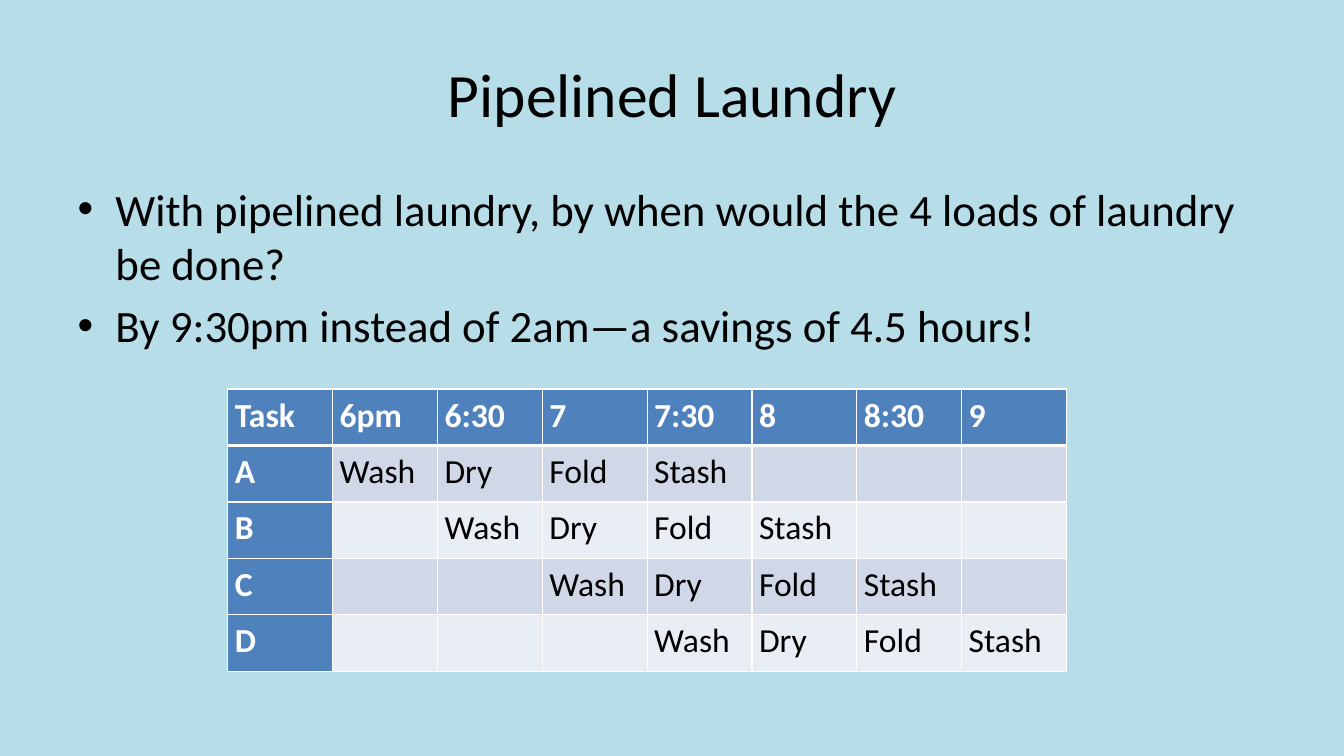
import pptx
import pptx.dml.color
import pptx.enum.text
import pptx.oxml
import pptx.oxml.ns
import pptx.util
from pptx.util import Inches

FONT = "Calibri"
BLACK = "000000"
WHITE = "FFFFFF"
HEADING_BLUE = "4F81BD"
BAND_COLORS = ["D0D8E8", "E9EDF4"]
START_TIMES = ["6pm", "6:30", "7", "7:30", "8", "8:30", "9"]
TASKS = ["A", "B", "C", "D"]
STAGES = ["Wash", "Dry", "Fold", "Stash"]


def color(hex_string):
    return pptx.dml.color.RGBColor.from_string(hex_string)


def format_runs(paragraph, size, hex_string, bold=False):
    for run in paragraph.runs:
        run.font.name = FONT
        run.font.size = pptx.util.Pt(size)
        run.font.bold = bold
        run.font.color.rgb = color(hex_string)


def fill_placeholder(placeholder, box, text, size):
    placeholder.left, placeholder.top, placeholder.width, placeholder.height = map(Inches, box)
    frame = placeholder.text_frame
    frame.text = text
    frame.word_wrap = True
    frame.auto_size = pptx.enum.text.MSO_AUTO_SIZE.NONE
    for paragraph in frame.paragraphs:
        format_runs(paragraph, size, BLACK)


def set_borders(cell, widths):
    properties = cell._tc.get_or_add_tcPr()
    for position, (side, width) in enumerate(widths.items()):
        border = pptx.oxml.parse_xml(
            f'<a:ln{side} {pptx.oxml.ns.nsdecls("a")} w="{pptx.util.Pt(width)}">'
            f'<a:solidFill><a:srgbClr val="{WHITE}"/></a:solidFill></a:ln{side}>'
        )
        properties.insert(position, border)


def format_cell(cell, text, row, column):
    heading = row == 0 or column == 0
    cell.margin_left = cell.margin_right = Inches(0.07)
    cell.margin_top = cell.margin_bottom = 0
    cell.fill.solid()
    cell.fill.fore_color.rgb = color(HEADING_BLUE if heading else BAND_COLORS[(row - 1) % 2])
    set_borders(cell, {"L": 1, "R": 1, "T": 3 if row == 1 else 1, "B": 3 if row == 0 else 1})
    if text:
        cell.text_frame.text = text
        paragraph = cell.text_frame.paragraphs[0]
        paragraph.line_spacing = 1.15
        format_runs(paragraph, 24, WHITE if heading else BLACK, heading)


def pipeline_rows():
    rows = [["Task"] + START_TIMES]
    for delay, task in enumerate(TASKS):
        idle_after = len(START_TIMES) - delay - len(STAGES)
        rows.append([task] + [""] * delay + STAGES + [""] * idle_after)
    return rows


def add_schedule(slide, left, top, column_width, row_height):
    rows = pipeline_rows()
    row_count, column_count = len(rows), len(rows[0])
    schedule = slide.shapes.add_table(
        row_count, column_count, Inches(left), Inches(top),
        Inches(column_width * column_count), Inches(row_height * row_count),
    ).table
    for row, texts in enumerate(rows):
        for column, text in enumerate(texts):
            format_cell(schedule.cell(row, column), text, row, column)


def main():
    presentation = pptx.Presentation()
    presentation.slide_width = Inches(13.33)
    presentation.slide_height = Inches(7.5)
    slide = presentation.slides.add_slide(presentation.slide_layouts[1])
    slide.background.fill.solid()
    slide.background.fill.fore_color.rgb = color("B7DEE8")

    fill_placeholder(slide.shapes.title, (0.67, 0.3, 12, 1.25), "Pipelined Laundry", 44)
    fill_placeholder(
        slide.placeholders[1], (0.67, 1.75, 12, 4.95),
        "With pipelined laundry, by when would the 4 loads of laundry be done?\n"
        "By 9:30pm instead of 2am—a savings of 4.5 hours!", 32,
    )
    add_schedule(slide, 2.26, 3.86, 1.04, 0.56)
    presentation.save("out.pptx")


main()
